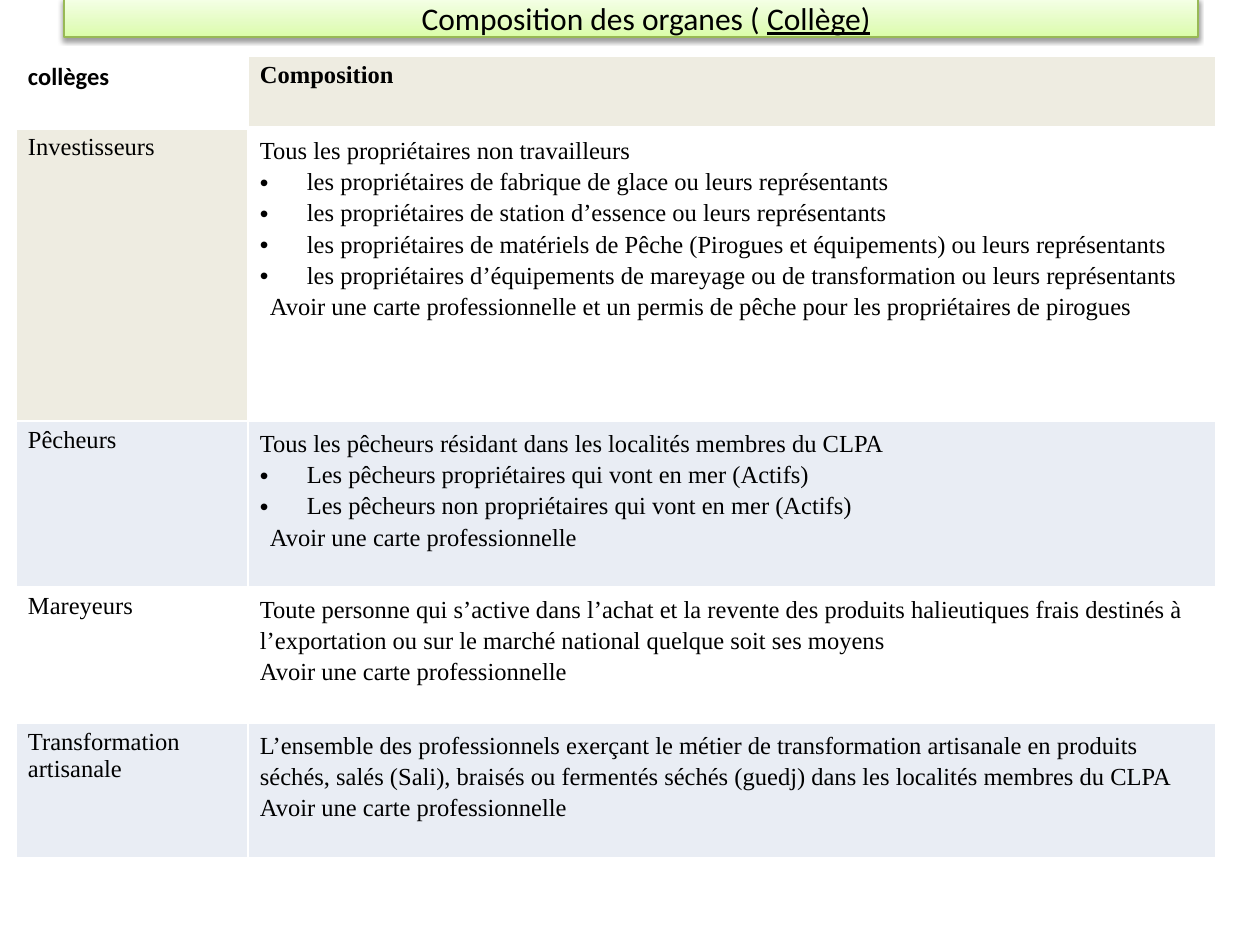
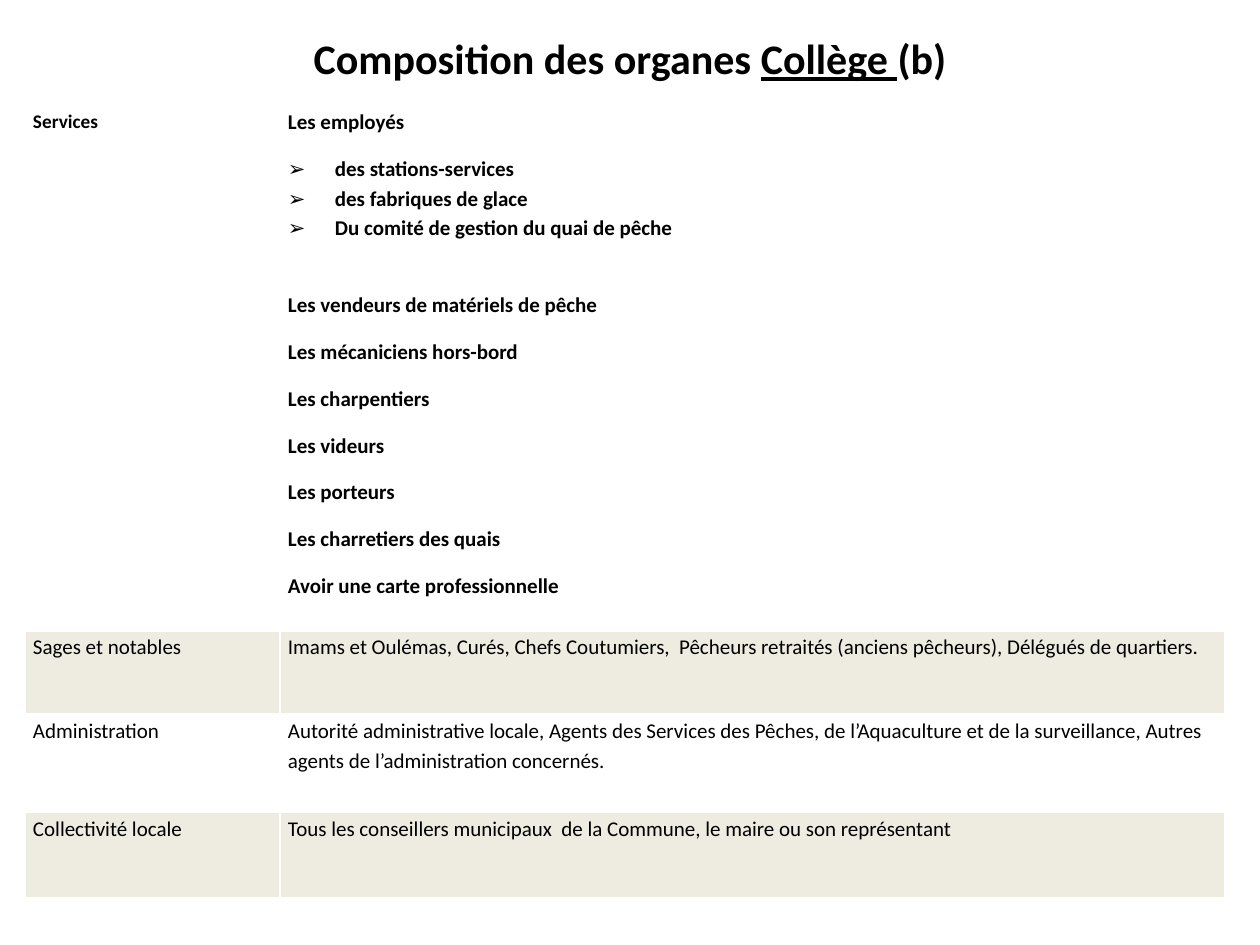
from lxml import etree
from pptx import Presentation
from pptx import util as u
from pptx.dml.color import RGBColor
from pptx.enum import text
from pptx.oxml import ns, parse_xml

# Shared look
PX = u.Inches(1) // 126
BLACK = RGBColor(0, 0, 0)
WHITE = RGBColor(255, 255, 255)
SAND = RGBColor(0xEE, 0xEC, 0xE1)
MIST = RGBColor(0xE9, 0xED, 0xF4)
BAND_LINE = RGBColor(0x98, 0xB9, 0x55)
BAND_STOPS = [(0, "DAFDA7"), (35, "E4FCC2"), (100, "F5FFE7")]
SANS, SERIF = "Calibri", "Times New Roman"
A = ns.nsdecls("a")

# Paragraph kinds
PLAIN, BULLET, INDENT, LAST_BULLET = range(4)
CARD = "Avoir une carte professionnelle"

# Content: each table row is (label, paragraphs, label fill, text fill, height)
COLLEGES_A = dict(
    title=[("Composition des organes ( ", False), ("Collège)", True)],
    title_box=(64, -2, 1134, 39), title_size=18, title_bold=False, band=True,
    at=(16, 56), cols=(232, 968), margins=(12, 6, 12, 6),
    font=SERIF, size=14, corner=(SANS, 14), bullet="•",
    align=text.PP_ALIGN.JUSTIFY, label_spacing=1.0, after=0,
    rows=[
        ("collèges", [("Composition", PLAIN)], WHITE, SAND, 72),
        ("Investisseurs", [
            ("Tous les propriétaires non travailleurs", PLAIN),
            ("les propriétaires de fabrique de glace ou leurs représentants", BULLET),
            ("les propriétaires de station d’essence ou leurs représentants", BULLET),
            ("les propriétaires de matériels de Pêche (Pirogues et équipements) "
             "ou leurs représentants", BULLET),
            ("les propriétaires d’équipements de mareyage ou de transformation "
             "ou leurs représentants", BULLET),
            (CARD + " et un permis de pêche pour les propriétaires de pirogues", INDENT),
        ], SAND, WHITE, 293),
        ("Pêcheurs", [
            ("Tous les pêcheurs résidant dans les localités membres du CLPA", PLAIN),
            ("Les pêcheurs propriétaires qui vont en mer (Actifs)", BULLET),
            ("Les pêcheurs non propriétaires qui vont en mer (Actifs)", BULLET),
            (CARD, INDENT),
        ], MIST, MIST, 166),
        ("Mareyeurs", [
            ("Toute personne qui s’active dans l’achat et la revente des produits "
             "halieutiques frais destinés à l’exportation ou sur le marché national "
             "quelque soit ses moyens", PLAIN),
            (CARD, PLAIN),
        ], WHITE, WHITE, 136),
        ("Transformation artisanale", [
            ("L’ensemble des professionnels exerçant le métier de transformation "
             "artisanale en produits séchés, salés (Sali), braisés ou fermentés séchés "
             "(guedj) dans les localités membres du CLPA", PLAIN),
            (CARD, PLAIN),
        ], MIST, MIST, 135),
    ])

COLLEGES_B = dict(
    title=[("Composition des organes ", False), ("Collège ", True), ("(b)", False)],
    title_box=(63, 8, 1134, 99), title_size=24, title_bold=True, band=False,
    at=(25, 105), cols=(255, 945), margins=(8, 1, 8, 0),
    font=SANS, size=12, corner=(SANS, 11), bullet="➢",
    align=text.PP_ALIGN.LEFT, label_spacing=1.15, after=10,
    rows=[
        ("Services", [
            ("Les employés", PLAIN),
            ("des stations-services", BULLET),
            ("des fabriques de glace", BULLET),
            ("Du comité de gestion du quai de pêche", LAST_BULLET),
            ("Les vendeurs de matériels de pêche", PLAIN),
            ("Les mécaniciens hors-bord", PLAIN),
            ("Les charpentiers", PLAIN),
            ("Les videurs", PLAIN),
            ("Les porteurs", PLAIN),
            ("Les charretiers des quais", PLAIN),
            (CARD, PLAIN),
        ], WHITE, WHITE, 525),
        ("Sages et notables", [
            ("Imams et Oulémas, Curés, Chefs Coutumiers,  Pêcheurs retraités "
             "(anciens pêcheurs), Délégués de quartiers.", PLAIN),
        ], SAND, SAND, 84),
        ("Administration", [
            ("Autorité administrative locale, Agents des Services des Pêches, de "
             "l’Aquaculture et de la surveillance, Autres agents de l’administration "
             "concernés.", PLAIN),
        ], WHITE, WHITE, 98),
        ("Collectivité locale", [
            ("Tous les conseillers municipaux  de la Commune, le maire ou son "
             "représentant", PLAIN),
        ], SAND, SAND, 86),
    ])


def add_run(p, words, font, size, bold, underline=False):
    r = p.add_run()
    r.text = words
    r.font.name, r.font.size = font, u.Pt(size)
    r.font.bold, r.font.underline = bold, underline
    r.font.color.rgb = BLACK


def set_margins(box, left, top, right, bottom):
    box.margin_left, box.margin_top = left * PX, top * PX
    box.margin_right, box.margin_bottom = right * PX, bottom * PX


def paint_band(sp):
    """Green gradient, thin edge and soft shadow behind the title."""
    stops = "".join(f'<a:gs pos="{pos * 1000}"><a:srgbClr val="{rgb}"/></a:gs>'
                    for pos, rgb in BAND_STOPS)
    sp.line.color.rgb = BAND_LINE
    sp.line.width = u.Pt(0.75)
    edge = sp.line._ln
    edge.addprevious(parse_xml(
        f'<a:gradFill {A} rotWithShape="1"><a:gsLst>{stops}</a:gsLst>'
        '<a:lin ang="16200000" scaled="0"/></a:gradFill>'))
    edge.addnext(parse_xml(
        f'<a:effectLst {A}><a:outerShdw blurRad="{u.Pt(3.1)}" dist="{u.Pt(1.6)}" '
        'dir="5400000" rotWithShape="0"><a:srgbClr val="000000">'
        '<a:alpha val="38000"/></a:srgbClr></a:outerShdw></a:effectLst>'))


def add_title(s, page):
    sp = s.shapes.title
    sp.left, sp.top, sp.width, sp.height = (v * PX for v in page["title_box"])
    tf = sp.text_frame
    tf.word_wrap = True
    tf.auto_size = text.MSO_AUTO_SIZE.NONE
    tf.vertical_anchor = text.MSO_ANCHOR.MIDDLE
    set_margins(tf, 30 if page["band"] else 0, 0, 0, 0)
    p = tf.paragraphs[0]
    p.alignment = text.PP_ALIGN.CENTER
    for words, underline in page["title"]:
        add_run(p, words, SANS, page["title_size"], page["title_bold"], underline)
    if page["band"]:
        paint_band(sp)


def format_cell(cell, fill, margins, is_header):
    tc_pr = cell._tc.get_or_add_tcPr()
    for side in "LRTB":
        width = 3 if is_header and side == "B" else 1
        tc_pr.append(parse_xml(
            f'<a:ln{side} {A} w="{u.Pt(width)}"><a:solidFill>'
            f'<a:srgbClr val="{WHITE}"/></a:solidFill></a:ln{side}>'))
    cell.fill.solid()
    cell.fill.fore_color.rgb = fill
    set_margins(cell, *margins)


def format_paragraph(p, kind, page, spacing):
    p.line_spacing = spacing
    p.space_after = u.Pt({PLAIN: page["after"], LAST_BULLET: 27}.get(kind, 0))
    p_pr = p._p.get_or_add_pPr()
    if kind == INDENT:
        p_pr.set("marL", str(10 * PX))
    elif kind in (BULLET, LAST_BULLET):
        p.alignment = page["align"]
        p_pr.set("marL", str(47 * PX))
        p_pr.set("indent", str(-47 * PX))
        etree.SubElement(p_pr, ns.qn("a:buFont")).set("typeface", "Arial")
        etree.SubElement(p_pr, ns.qn("a:buChar")).set("char", page["bullet"])


def add_table(s, page):
    rows, cols = page["rows"], page["cols"]
    left, top = page["at"]
    height = sum(row[-1] for row in rows)
    table = s.shapes.add_table(len(rows), len(cols), left * PX, top * PX,
                               sum(cols) * PX, height * PX).table
    table.first_row = table.horz_banding = False
    for column, width in zip(table.columns, cols):
        column.width = width * PX

    for i, (label, paragraphs, label_fill, text_fill, row_height) in enumerate(rows):
        table.rows[i].height = row_height * PX
        cells = [([(label, PLAIN)], label_fill), (paragraphs, text_fill)]
        for j, (lines, fill) in enumerate(cells):
            cell = table.cell(i, j)
            format_cell(cell, fill, page["margins"], i == 0)
            font, size = page["corner"] if i == j == 0 else (page["font"], page["size"])
            single = j == 0 or i == 0 and len(lines) == 1
            spacing = page["label_spacing"] if single else 1.15
            tf = cell.text_frame
            for n, (words, kind) in enumerate(lines):
                p = tf.add_paragraph() if n else tf.paragraphs[0]
                format_paragraph(p, kind, page, spacing)
                add_run(p, words, font, size, i == 0)


def main():
    prs = Presentation()
    prs.slide_width, prs.slide_height = u.Inches(10), u.Inches(7.5)
    title_only = prs.slide_layouts[5]
    for page in (COLLEGES_A, COLLEGES_B):
        s = prs.slides.add_slide(title_only)
        add_table(s, page)
        add_title(s, page)
    prs.save("out.pptx")


if __name__ == "__main__":
    main()
